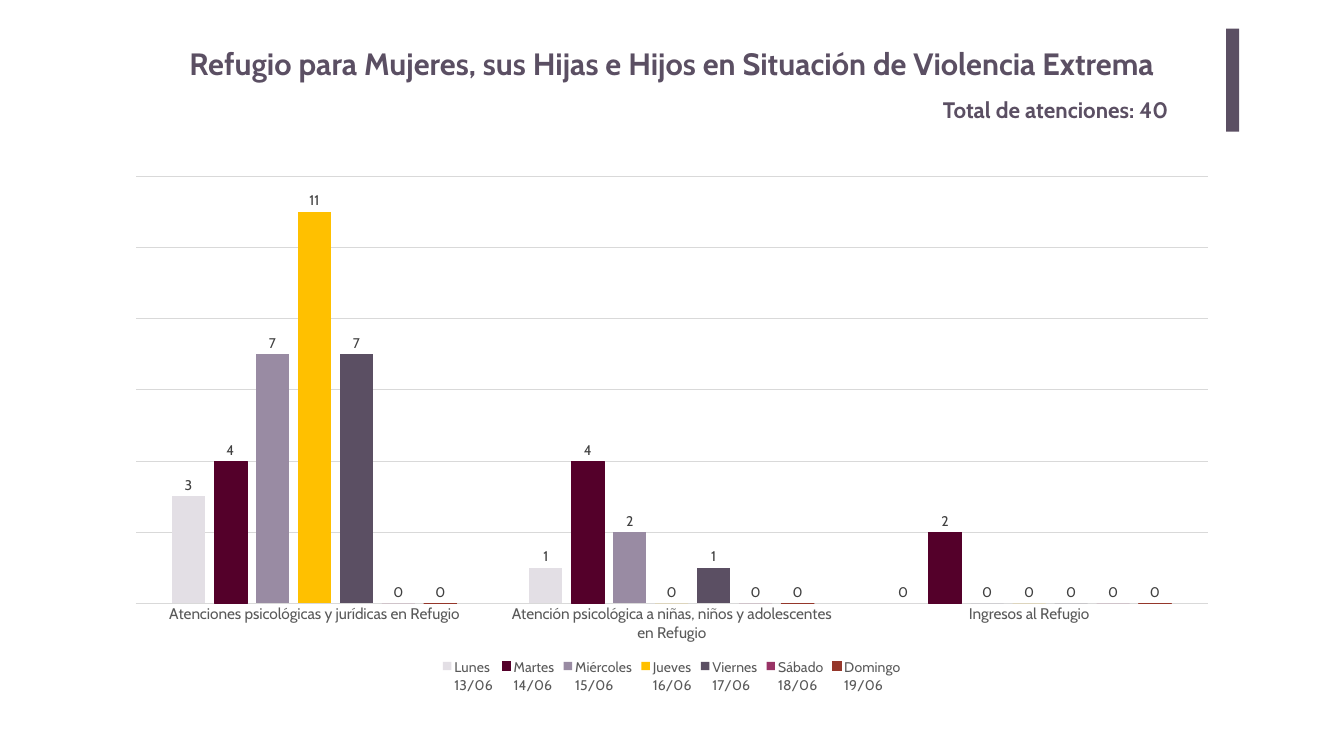
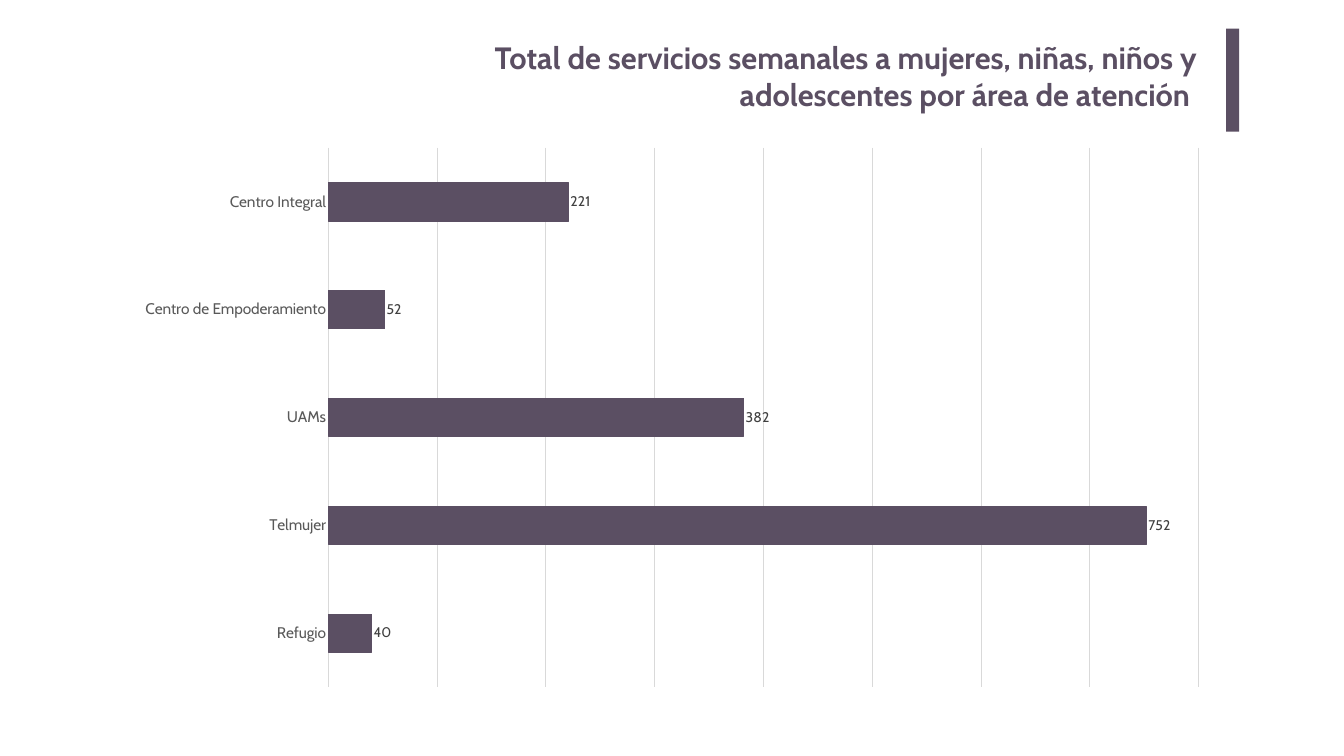
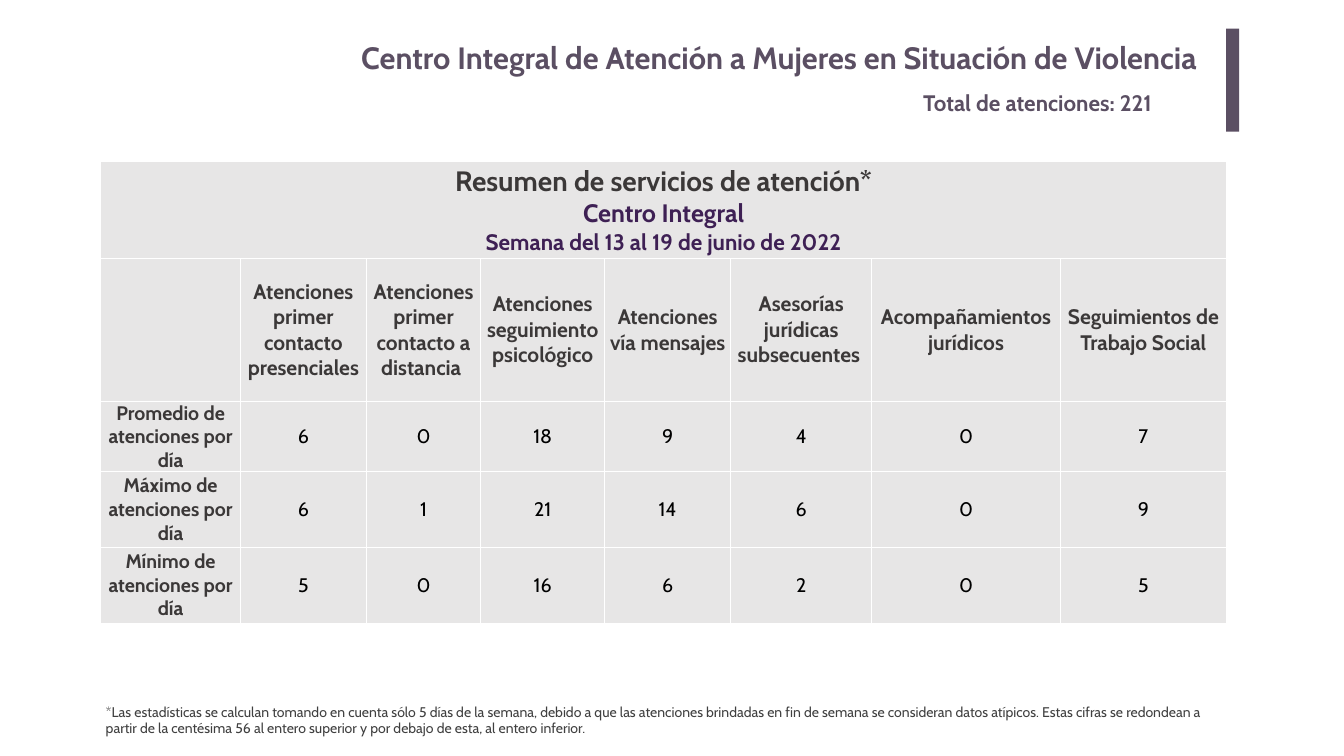
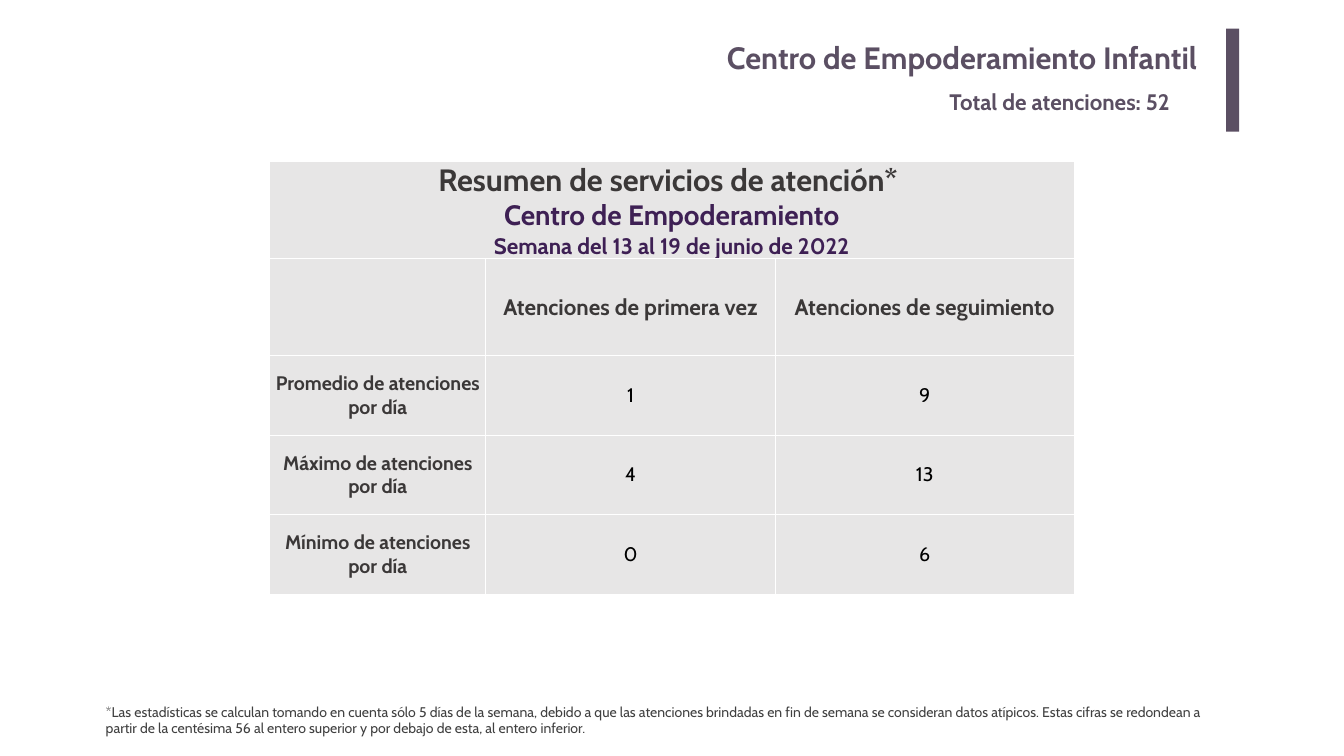
from lxml import etree
from pptx import Presentation
from pptx.chart.data import CategoryChartData
from pptx.dml.color import RGBColor
from pptx.enum.chart import XL_CHART_TYPE, XL_LABEL_POSITION, XL_LEGEND_POSITION, XL_TICK_MARK
from pptx.enum.shapes import MSO_SHAPE
from pptx.enum.text import MSO_ANCHOR, MSO_AUTO_SIZE, PP_ALIGN
from pptx.oxml.ns import qn
from pptx.util import Pt

COLUMNS = XL_CHART_TYPE.COLUMN_CLUSTERED
BARS = XL_CHART_TYPE.BAR_CLUSTERED
OUTSIDE_END = XL_LABEL_POSITION.OUTSIDE_END
BOTTOM = XL_LEGEND_POSITION.BOTTOM
NO_TICK = XL_TICK_MARK.NONE
RECTANGLE = MSO_SHAPE.RECTANGLE
TOP = MSO_ANCHOR.TOP
MIDDLE = MSO_ANCHOR.MIDDLE
NO_FIT = MSO_AUTO_SIZE.NONE
LEFT = PP_ALIGN.LEFT
CENTER = PP_ALIGN.CENTER
RIGHT = PP_ALIGN.RIGHT

EMU_PER_PX = 9144
FONT = "Cabin"
PLUM = "5B4F63"
PURPLE = "3E2054"
CHARCOAL = "3B3838"
NOTE_GRAY = "404040"
AXIS_GRAY = "595959"
RULE_GRAY = "D9D9D9"
CELL_GRAY = "E7E6E6"
BLACK = "000000"
WHITE = "FFFFFF"

WEEK = "Semana del 13 al 19 de junio de 2022"
SUMMARY = "Resumen de servicios de atención*"
MEASURES = [f"{name} de atenciones por día" for name in ("Promedio", "Máximo", "Mínimo")]
FOOTNOTE = (
    "*Las estadísticas se calculan tomando en cuenta sólo 5 días de la semana, "
    "debido a que las atenciones brindadas en fin de semana se consideran datos atípicos. "
    "Estas cifras se redondean a partir de la centésima 56 al entero superior "
    "y por debajo de esta, al entero inferior."
)


def px(length):
    return length * EMU_PER_PX


def color(value):
    return RGBColor.from_string(value)


def style_font(font, size, shade, bold=False):
    font.name = FONT
    font.size = Pt(size)
    font.bold = bold
    font.color.rgb = color(shade)


def style_line(line, shade, width=0.75):
    line.color.rgb = color(shade)
    line.width = Pt(width)


def set_margins(holder, side, top):
    holder.margin_left = holder.margin_right = px(side)
    holder.margin_top = holder.margin_bottom = px(top)


def write(frame, lines, align):
    for index, (text, size, shade, bold) in enumerate(lines):
        para = frame.add_paragraph() if index else frame.paragraphs[0]
        para.alignment = align
        span = para.add_run()
        span.text = text
        style_font(span.font, size, shade, bold)


def add_borders(cell):
    properties = cell._tc.get_or_add_tcPr()
    for side in ("a:lnL", "a:lnR", "a:lnT", "a:lnB"):
        border = etree.SubElement(properties, qn(side), w=str(Pt(1)))
        fill = etree.SubElement(border, qn("a:solidFill"))
        etree.SubElement(fill, qn("a:srgbClr"), val=WHITE)


class Report:
    def __init__(self):
        self.deck = Presentation()
        self.deck.slide_width = px(2667)
        self.deck.slide_height = px(1500)
        self.page = None

    def start_page(self, title, area, align=RIGHT, margins=(20, 10)):
        self.page = self.deck.slides.add_slide(self.deck.slide_layouts[5])
        box = self.page.shapes.title
        box.left, box.top, box.width, box.height = map(px, area)
        frame = box.text_frame
        frame.word_wrap = True
        frame.auto_size = NO_FIT
        frame.vertical_anchor = TOP
        set_margins(frame, *margins)
        write(frame, [(title, 44, PLUM, True)], align)
        bar = self.page.shapes.add_shape(RECTANGLE, px(2433), px(57), px(26), px(204))
        bar.shadow.inherit = False
        bar.fill.solid()
        bar.fill.fore_color.rgb = color(PLUM)
        bar.line.fill.background()

    def add_text(self, text, area, size, shade, bold=False):
        box = self.page.shapes.add_textbox(*map(px, area))
        frame = box.text_frame
        frame.word_wrap = True
        set_margins(frame, 10, 5)
        write(frame, [(text, size, shade, bold)], LEFT)

    def add_total(self, count, area):
        self.add_text(f"Total de atenciones: {count}", area, 32, PLUM, True)

    def add_footnote(self):
        self.add_text(FOOTNOTE, (200, 1390, 2233, 77), 20, NOTE_GRAY)

    def add_chart(self, kind, area, categories, series, gap, overlap, top, step):
        data = CategoryChartData()
        data.categories = categories
        for name, values, *_ in series:
            data.add_series(name, values)
        chart = self.page.shapes.add_chart(kind, *map(px, area), data).chart
        chart.has_title = False
        chart.has_legend = False
        style_font(chart.font, 10, BLACK)
        plot = chart.plots[0]
        plot.vary_by_categories = False
        plot.gap_width = gap
        plot.overlap = overlap
        for item, (_, _, shade, outlined) in zip(plot.series, series):
            item.invert_if_negative = False
            item.format.fill.solid()
            item.format.fill.fore_color.rgb = color(shade)
            if outlined:
                style_line(item.format.line, shade)
            labels = item.data_labels
            labels.show_value = True
            labels.position = OUTSIDE_END
            style_font(labels.font, 20, NOTE_GRAY)
        category_axis = chart.category_axis
        category_axis.major_tick_mark = NO_TICK
        style_font(category_axis.tick_labels.font, 22, AXIS_GRAY)
        style_line(category_axis.format.line, RULE_GRAY)
        value_axis = chart.value_axis
        value_axis.visible = False
        value_axis.minimum_scale = 0
        value_axis.maximum_scale = top
        value_axis.major_unit = step
        value_axis.has_major_gridlines = True
        style_line(value_axis.major_gridlines.format.line, RULE_GRAY)
        return chart

    def add_summary(self, corner, widths, heights, heading, headers, header_size, values):
        rows, columns = len(heights), len(widths)
        area = (*corner, sum(widths), sum(heights))
        table = self.page.shapes.add_table(rows, columns, *map(px, area)).table
        table.first_row = False
        table.horz_banding = False
        for column, width in zip(table.columns, widths):
            column.width = px(width)
        for row, height in zip(table.rows, heights):
            row.height = px(height)
        for cell in table.iter_cells():
            set_margins(cell, 0, 0)
            cell.vertical_anchor = MIDDLE
            add_borders(cell)
            cell.fill.solid()
            cell.fill.fore_color.rgb = color(CELL_GRAY)
        table.cell(0, 0).merge(table.cell(0, columns - 1))
        write(table.cell(0, 0).text_frame, heading, CENTER)
        for column, header in enumerate(headers, 1):
            line = (header, header_size, CHARCOAL, True)
            write(table.cell(1, column).text_frame, [line], CENTER)
        for row, (measure, counts) in enumerate(zip(MEASURES, values), 2):
            write(table.cell(row, 0).text_frame, [(measure, 28, CHARCOAL, True)], CENTER)
            for column, count in enumerate(counts, 1):
                line = (str(count), 28, BLACK, False)
                write(table.cell(row, column).text_frame, [line], CENTER)


def build_shelter(report):
    report.start_page(
        "Refugio para Mujeres, sus Hijas e Hijos en Situación de Violencia Extrema",
        (366, 84, 2073, 84), LEFT, (10, 5),
    )
    report.add_total(40, (1861, 185, 535, 64))
    days = [
        ("Lunes\n13/06", (3, 1, 0), "E3DFE5", False),
        ("Martes\n14/06", (4, 4, 2), "54002A", True),
        ("Miércoles\n15/06", (7, 2, 0), "998BA3", False),
        ("Jueves\n16/06", (11, 0, 0), "FFC000", False),
        ("Viernes\n17/06", (7, 1, 0), PLUM, False),
        ("Sábado\n18/06", (0, 0, 0), "993366", False),
        ("Domingo\n19/06", (0, 0, 0), "95372B", True),
    ]
    services = [
        "Atenciones psicológicas y jurídicas en Refugio",
        "Atención psicológica a niñas, niños y adolescentes en Refugio",
        "Ingresos al Refugio",
    ]
    chart = report.add_chart(
        COLUMNS, (225, 328, 2216, 1054), services, days, 219, -27, 12, 2
    )
    chart.has_legend = True
    chart.legend.position = BOTTOM
    chart.legend.include_in_layout = False
    style_font(chart.legend.font, 20, AXIS_GRAY)


def build_areas(report):
    report.start_page(
        "Total de servicios semanales a mujeres, niñas, niños y "
        "adolescentes por área de atención ",
        (656, 67, 1740, 204),
    )
    areas = ["Centro Integral", "Centro de Empoderamiento", "UAMs", "Telmujer", "Refugio"]
    totals = [("Series 1", (221, 52, 382, 752, 40), PLUM, True)]
    chart = report.add_chart(
        BARS, (245, 271, 2177, 1114), areas, totals, 182, 0, 800, 100
    )
    chart.category_axis.reverse_order = True


def build_integral_center(report):
    report.start_page(
        "Centro Integral de Atención a Mujeres en Situación de Violencia",
        (366, 67, 2030, 102),
    )
    report.add_total(221, (1822, 171, 592, 64))
    report.add_summary(
        (200, 321),
        (277, 250, 227, 246, 250, 280, 374, 330),
        (192, 283, 119, 150, 150),
        [
            (SUMMARY, 40, CHARCOAL, True),
            ("Centro Integral", 36, PURPLE, True),
            (WEEK, 32, PURPLE, True),
        ],
        [
            "Atenciones primer contacto presenciales",
            "Atenciones primer contacto a distancia ",
            "Atenciones seguimiento psicológico",
            "Atenciones vía mensajes",
            "Asesorías jurídicas subsecuentes ",
            "Acompañamientos jurídicos",
            "Seguimientos de Trabajo Social",
        ],
        30,
        [(6, 0, 18, 9, 4, 0, 7), (6, 1, 21, 14, 6, 0, 9), (5, 0, 16, 6, 2, 0, 5)],
    )
    report.add_footnote()


def build_children_center(report):
    report.start_page("Centro de Empoderamiento Infantil", (366, 67, 2030, 102))
    report.add_total(52, (1874, 169, 528, 64))
    report.add_summary(
        (535, 320),
        (429, 575, 592),
        (192, 192, 158, 158, 158),
        [
            (SUMMARY + " ", 44, CHARCOAL, True),
            ("Centro de Empoderamiento", 40, PURPLE, True),
            (WEEK, 32, PURPLE, True),
        ],
        ["Atenciones de primera vez", "Atenciones de seguimiento"],
        32,
        [(1, 9), (4, 13), (0, 6)],
    )
    report.add_footnote()


def main():
    report = Report()
    build_shelter(report)
    build_areas(report)
    build_integral_center(report)
    build_children_center(report)
    report.deck.save("out.pptx")


if __name__ == "__main__":
    main()
